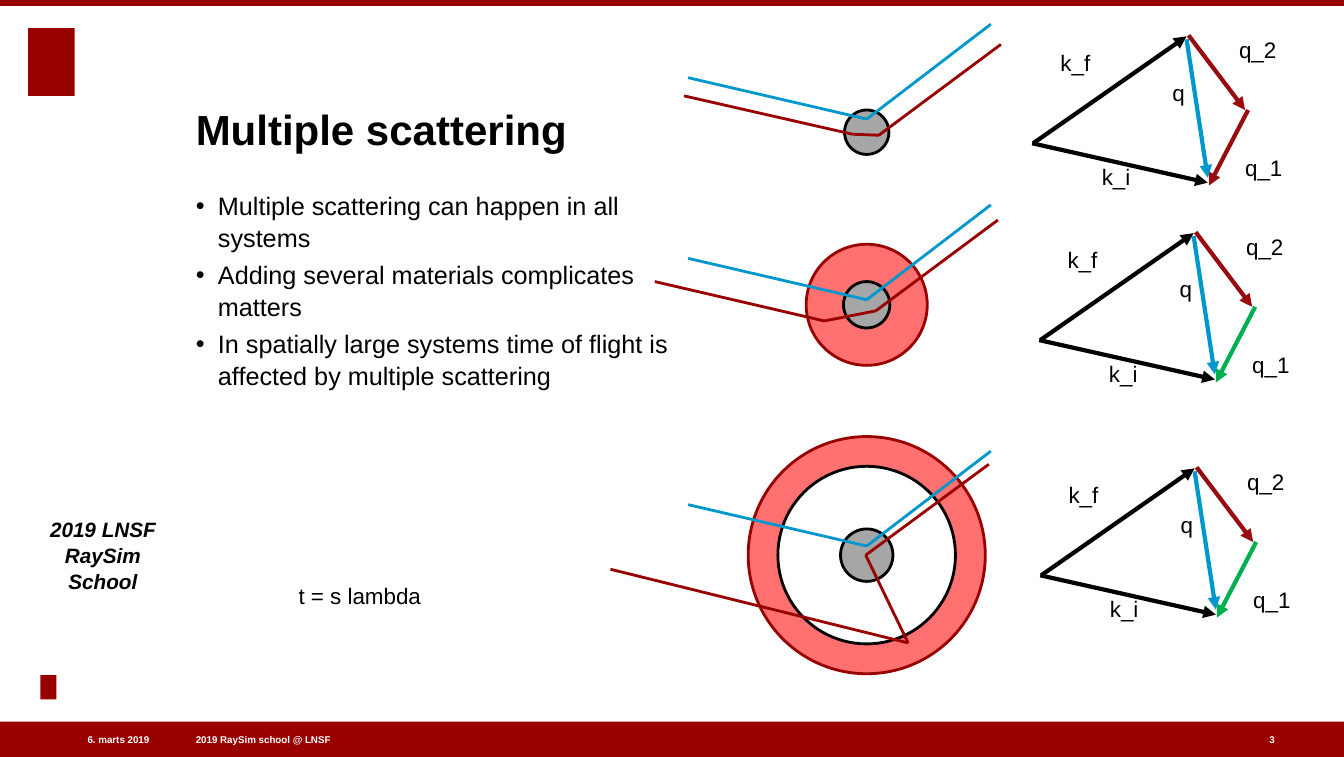
from dataclasses import dataclass
from itertools import pairwise

from lxml import etree
from pptx import Presentation
from pptx.dml.color import RGBColor
from pptx.enum.shapes import MSO_CONNECTOR, MSO_SHAPE
from pptx.enum.text import MSO_ANCHOR, MSO_AUTO_SIZE, PP_ALIGN
from pptx.oxml.ns import qn
from pptx.util import Inches, Pt


@dataclass(frozen=True)
class Theme:
    font: str = "Arial"
    black: str = "000000"
    white: str = "FFFFFF"
    brand: str = "990000"
    shell: str = "FF7070"
    sample: str = "A6A6A6"
    single: str = "0097CD"
    multiple: str = "980B0F"
    second_material: str = "00B050"
    title: float = 30
    body: float = 18
    label: float = 16
    event: float = 14.8
    footer: float = 7
    ray: float = 2
    arrow: float = 3
    line_spacing: float = 1.05


THEME = Theme()
COLUMNS, ROWS = 133.2, 75  # square grid cells of a tenth of an inch


def cells(*counts):
    return [Inches(count / 10) for count in counts]


def rgb(colour):
    return RGBColor.from_string(colour)


def style_text(frame, size, colour=THEME.black, bold=False, italic=False,
               align=PP_ALIGN.LEFT, anchor=MSO_ANCHOR.TOP):
    frame.word_wrap = True
    frame.auto_size = MSO_AUTO_SIZE.NONE
    frame.vertical_anchor = anchor
    frame.margin_left = frame.margin_right = frame.margin_top = frame.margin_bottom = 0
    for paragraph in frame.paragraphs:
        paragraph.alignment = align
        for run in paragraph.runs:
            run.font.name, run.font.size = THEME.font, Pt(size)
            run.font.bold, run.font.italic = bold, italic
            run.font.color.rgb = rgb(colour)


def add_text(slide, box, text, size, **style):
    frame = slide.shapes.add_textbox(*cells(*box)).text_frame
    frame.text = text
    style_text(frame, size, **style)
    return frame


def add_filled(slide, preset, box, fill, line=None):
    shape = slide.shapes.add_shape(preset, *cells(*box))
    shape.shadow.inherit = False
    shape.fill.solid()
    shape.fill.fore_color.rgb = rgb(fill)
    if line:
        shape.line.color.rgb = rgb(line)
        shape.line.width = Pt(THEME.ray)
    else:
        shape.line.fill.background()


def add_line(slide, start, end, colour, width, arrow=False):
    line = slide.shapes.add_connector(MSO_CONNECTOR.STRAIGHT, *cells(*start, *end))
    line.line.color.rgb = rgb(colour)
    line.line.width = Pt(width)
    properties = line._element.spPr
    if arrow:
        etree.SubElement(properties.find(qn("a:ln")), qn("a:tailEnd"), type="triangle")
    etree.SubElement(properties, qn("a:effectLst"))


def add_frame(slide):
    """Brand bars, emblem blocks, event name and footer."""
    footer_top, footer_height = 71.5, 3.5
    for top, height in ((0, 0.6), (footer_top, footer_height)):
        add_filled(slide, MSO_SHAPE.RECTANGLE, (0, top, COLUMNS, height), THEME.brand)
    for emblem in ((2.8, 2.8, 4.6, 6.7), (4, 66.9, 1.6, 2.4)):
        add_filled(slide, MSO_SHAPE.RECTANGLE, emblem, THEME.brand)

    event = add_text(slide, (3.2, 50.9, 14, 7.9), "2019 LNSF\vRaySim\vSchool", THEME.event,
                     bold=True, italic=True, align=PP_ALIGN.CENTER, anchor=MSO_ANCHOR.BOTTOM)
    event.paragraphs[0].line_spacing = THEME.line_spacing

    for left, width, text, align in (
        (2.7, 12.1, "6. marts 2019", PP_ALIGN.RIGHT),
        (19.4, 37.2, "2019 RaySim school @ LNSF", PP_ALIGN.LEFT),
        (125.8, 1.4, "3", PP_ALIGN.LEFT),
    ):
        add_text(slide, (left, footer_top, width, footer_height), text, THEME.footer,
                 colour=THEME.white, bold=True, align=align, anchor=MSO_ANCHOR.MIDDLE)


def add_title(slide, box, text):
    title = slide.shapes.title
    title.left, title.top, title.width, title.height = cells(*box)
    title.text_frame.text = text
    style_text(title.text_frame, THEME.title, bold=True, anchor=MSO_ANCHOR.BOTTOM)


def add_bullets(slide, box, points):
    frame = add_text(slide, box, "\n".join(points), THEME.body)
    indent = Inches(0.22)
    for paragraph in frame.paragraphs:
        paragraph.line_spacing = THEME.line_spacing
        paragraph.space_after = Pt(4)
        properties = paragraph._p.get_or_add_pPr()
        properties.set("marL", str(indent))
        properties.set("indent", str(-indent))
        etree.SubElement(properties, qn("a:buFont"), typeface=THEME.font)
        etree.SubElement(properties, qn("a:buChar"), char="•")


def add_sample(slide, centre, shells, single_depth, multiple_path):
    """Concentric shells (diameter, fill, line) crossed by two rays, relative to the centre."""
    x, y = centre
    for diameter, fill, line in shells:
        box = (x - diameter / 2, y - diameter / 2, diameter, diameter)
        add_filled(slide, MSO_SHAPE.OVAL, box, fill, line)

    single_path = ((-17.7, single_depth - 4.1), (0, single_depth), (12.3, single_depth - 9.4))
    for path, colour in ((multiple_path, THEME.brand), (single_path, THEME.single)):
        points = [(x + dx, y + dy) for dx, dy in path]
        for start, end in pairwise(points):
            add_line(slide, start, end, colour, THEME.ray)


def add_wave_vectors(slide, corner, first_colour):
    left, top = corner
    for x1, y1, x2, y2, colour in (
        (0.1, 10.7, 15.3, 0.1, THEME.black),
        (0, 10.7, 17.4, 14.6, THEME.black),
        (21.4, 7.4, 17.5, 14.9, first_colour),
        (21.1 - 5.6, 0, 21.1, 7.4, THEME.multiple),
        (15.3, 0.4, 17.4, 14.1, THEME.single),
    ):
        add_line(slide, (left + x1, top + y1), (left + x2, top + y2),
                 colour, THEME.arrow, arrow=True)
    for text, x, y in (("k_f", 2.8, 1.4), ("k_i", 6.9, 12.7), ("q", 13.9, 4.3),
                       ("q_1", 21.1, 11.8), ("q_2", 20.5, 0.1)):
        add_text(slide, (left + x, top + y, 5.8, 4), text, THEME.label)


def main():
    presentation = Presentation()
    presentation.slide_width, presentation.slide_height = cells(COLUMNS, ROWS)
    slide = presentation.slides.add_slide(presentation.slide_layouts[5])

    add_frame(slide)
    add_title(slide, (19.4, 4.7, 101.8, 10.6), "Multiple scattering")
    add_bullets(slide, (19.4, 18.7, 48.2, 49.7), (
        "Multiple scattering can happen in all systems",
        "Adding several materials complicates matters",
        "In spatially large systems time of flight is affected by multiple scattering",
    ))
    add_text(slide, (29.6, 57.7, 50.3, 4), "t = s lambda", THEME.label)

    add_sample(slide, (85.9, 13.1), [(4.4, THEME.sample, THEME.black)], -1.3,
               ((-18.1, -3.6), (-1.4, 0.2), (1.2, 0.3), (13.3, -8.7)))
    add_sample(slide, (85.9, 30.2),
               [(12, THEME.shell, THEME.brand), (4.6, THEME.sample, THEME.black)], -0.5,
               ((-21, -2.3), (-4.2, 1.6), (0.9, 0.6), (13, -8.4)))
    add_sample(slide, (85.9, 55),
               [(23.5, THEME.shell, THEME.brand), (17.6, THEME.white, THEME.black),
                (5.2, THEME.sample, THEME.black)], -0.9,
               ((-25.4, 1.4), (4.1, 8.7), (-0.1, 0), (12.1, -9)))

    for corner, first_colour in (((102.3, 3.5), THEME.multiple),
                                 ((103, 23), THEME.second_material),
                                 ((103.1, 46.3), THEME.second_material)):
        add_wave_vectors(slide, corner, first_colour)
    presentation.save("out.pptx")


if __name__ == "__main__":
    main()
